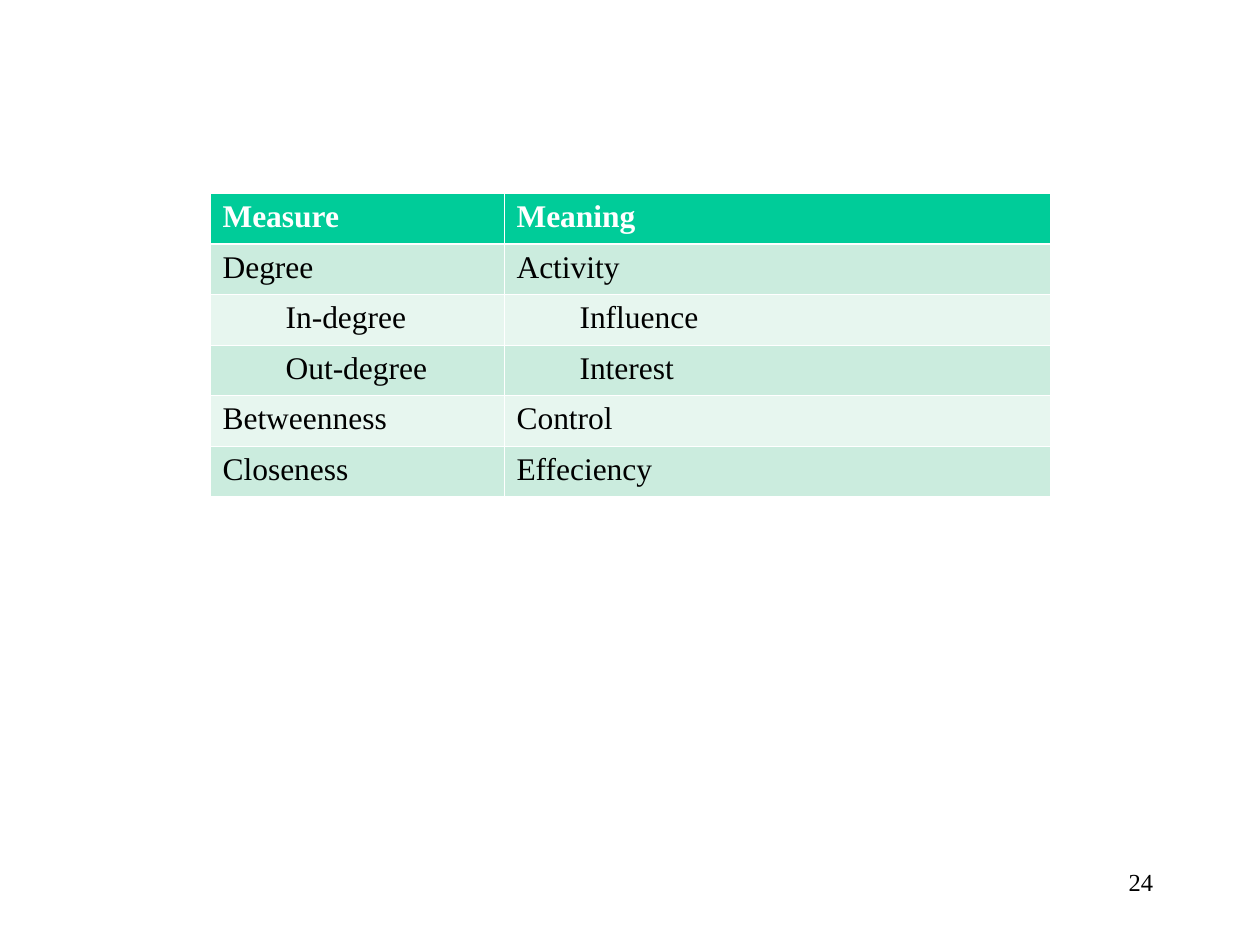
from dataclasses import dataclass

import pptx
import pptx.dml.color
import pptx.enum.text
import pptx.oxml
import pptx.oxml.ns
import pptx.util

Pt = pptx.util.Pt
FONT = "Times New Roman"
COLORS = {"header": "00CC99", "odd": "CBECDE", "even": "E7F6EF",
          "white": "FFFFFF", "black": "000000"}
COL_WIDTHS = (168, 312)
ROW_HEIGHT = 28.9
INDENT = 36
THIN, THICK = 0.45, 1.47


@dataclass
class Row:
    measure: str
    meaning: str
    level: int = 0


ROWS = [
    Row("Measure", "Meaning"),
    Row("Degree", "Activity"),
    Row("In-degree", "Influence", 1),
    Row("Out-degree", "Interest", 1),
    Row("Betweenness", "Control"),
    Row("Closeness", "Effeciency"),
]


def rgb(name: str) -> pptx.dml.color.RGBColor:
    return pptx.dml.color.RGBColor.from_string(COLORS[name])


def write(p, text: str, size: float, color: str, bold: bool = False) -> None:
    r = p.add_run()
    r.text = text
    for key, value in {"name": FONT, "size": Pt(size), "bold": bold}.items():
        setattr(r.font, key, value)
    r.font.color.rgb = rgb(color)


def set_borders(cell, top: float, bottom: float) -> None:
    tcPr = cell._tc.get_or_add_tcPr()
    for side, width in {"L": THIN, "R": THIN, "T": top, "B": bottom}.items():
        tcPr.append(pptx.oxml.parse_xml(
            f'<a:ln{side} {pptx.oxml.ns.nsdecls("a")} w="{Pt(width)}"><a:solidFill>'
            f'<a:srgbClr val="{COLORS["white"]}"/></a:solidFill></a:ln{side}>'))


def fill_cell(cell, text: str, row: Row, index: int) -> None:
    header = index == 0
    set_borders(cell, THICK if index == 1 else THIN, THICK if header else THIN)
    cell.fill.solid()
    cell.fill.fore_color.rgb = rgb("header" if header else "odd" if index % 2 else "even")
    p = cell.text_frame.paragraphs[0]
    if row.level:
        p.level = row.level
        p._p.get_or_add_pPr().set("marL", str(Pt(INDENT * row.level)))
    write(p, text, 18, "white" if header else "black", header)


def add_measures(s, left: float, top: float) -> None:
    table = s.shapes.add_table(len(ROWS), len(COL_WIDTHS), Pt(left), Pt(top),
                               Pt(sum(COL_WIDTHS)), Pt(ROW_HEIGHT * len(ROWS))).table
    for column, width in zip(table.columns, COL_WIDTHS):
        column.width = Pt(width)
    for i, row in enumerate(ROWS):
        table.rows[i].height = Pt(ROW_HEIGHT)
        for j, text in enumerate((row.measure, row.meaning)):
            fill_cell(table.cell(i, j), text, row, i)


def add_page_number(s, text: str) -> None:
    tf = s.shapes.add_textbox(Pt(516), Pt(492), Pt(150), Pt(36)).text_frame
    tf.word_wrap = True
    p = tf.paragraphs[0]
    p.alignment = pptx.enum.text.PP_ALIGN.RIGHT
    write(p, text, 14, "black")


def main() -> None:
    """Build the slide that pairs centrality measures with their meanings."""
    prs = pptx.Presentation()
    prs.slide_width, prs.slide_height = Pt(720), Pt(540)
    s = prs.slides.add_slide(prs.slide_layouts[6])
    add_page_number(s, "24")
    add_measures(s, 120, 110.4)
    prs.save("out.pptx")


if __name__ == "__main__":
    main()
